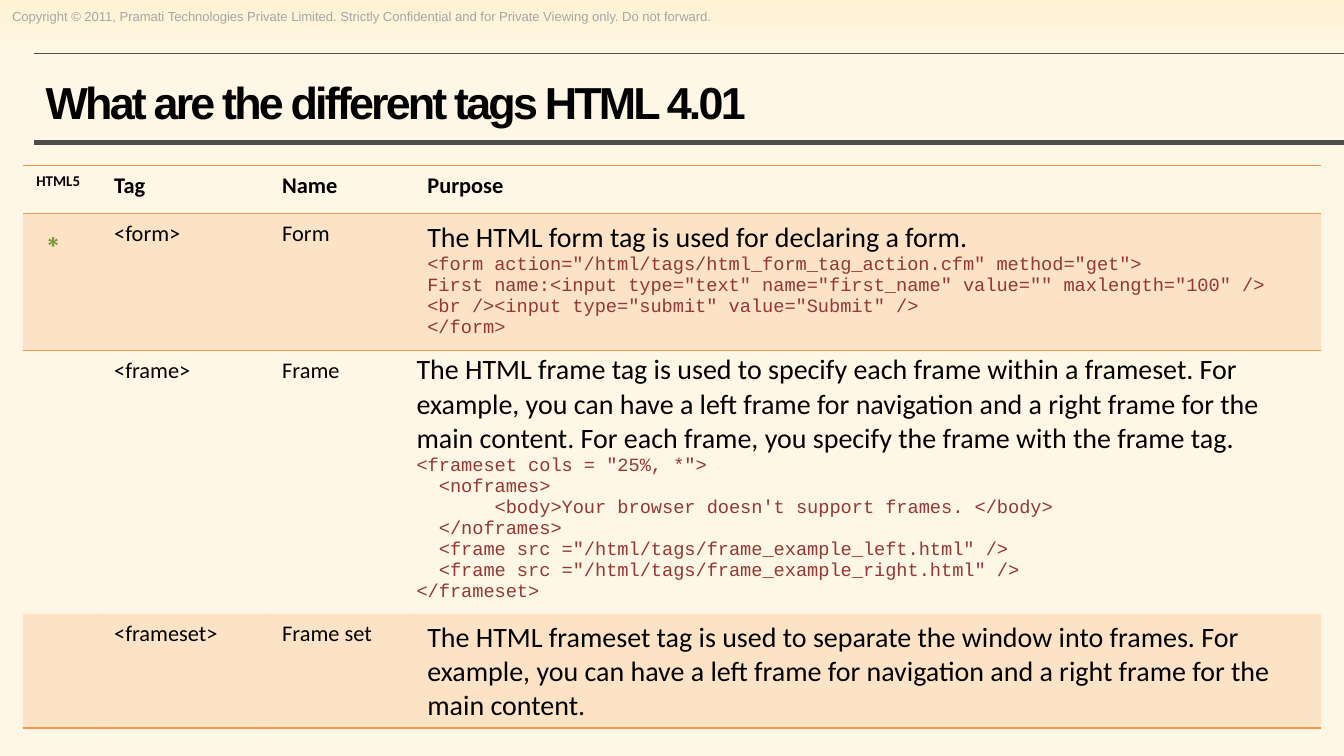
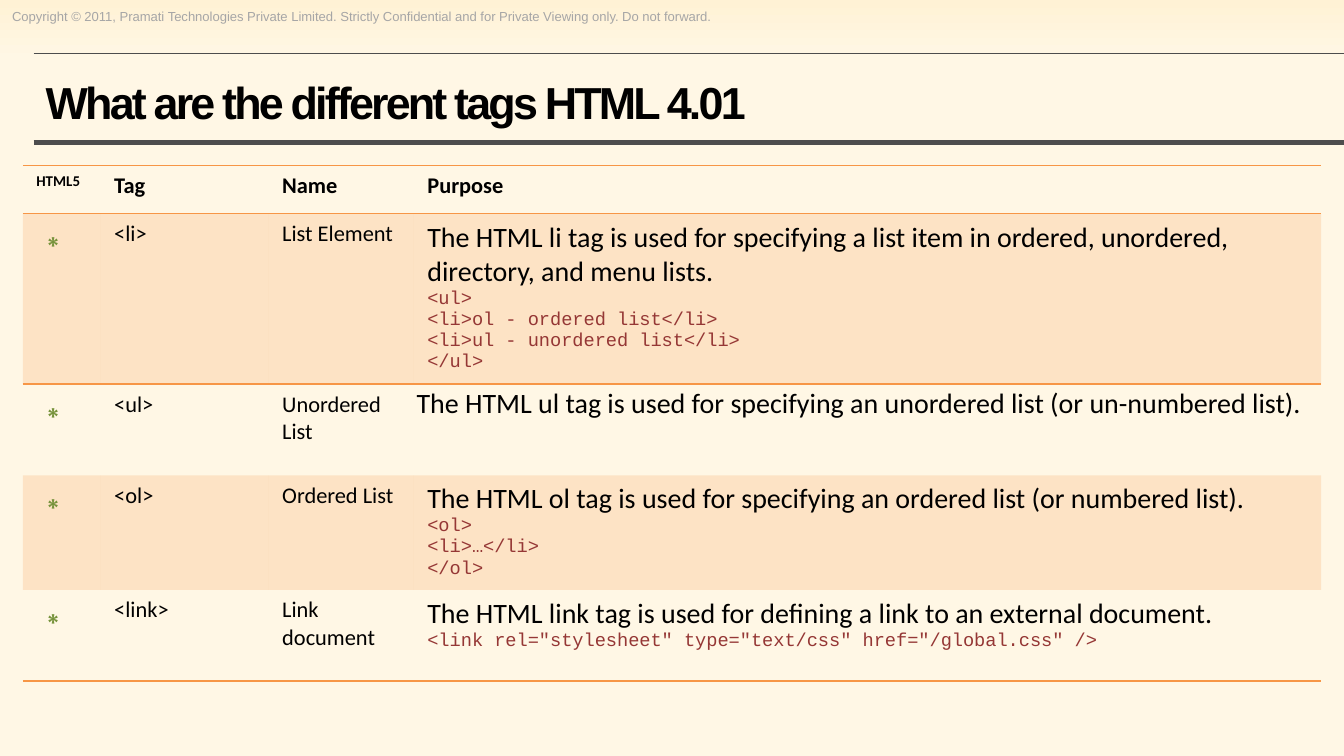
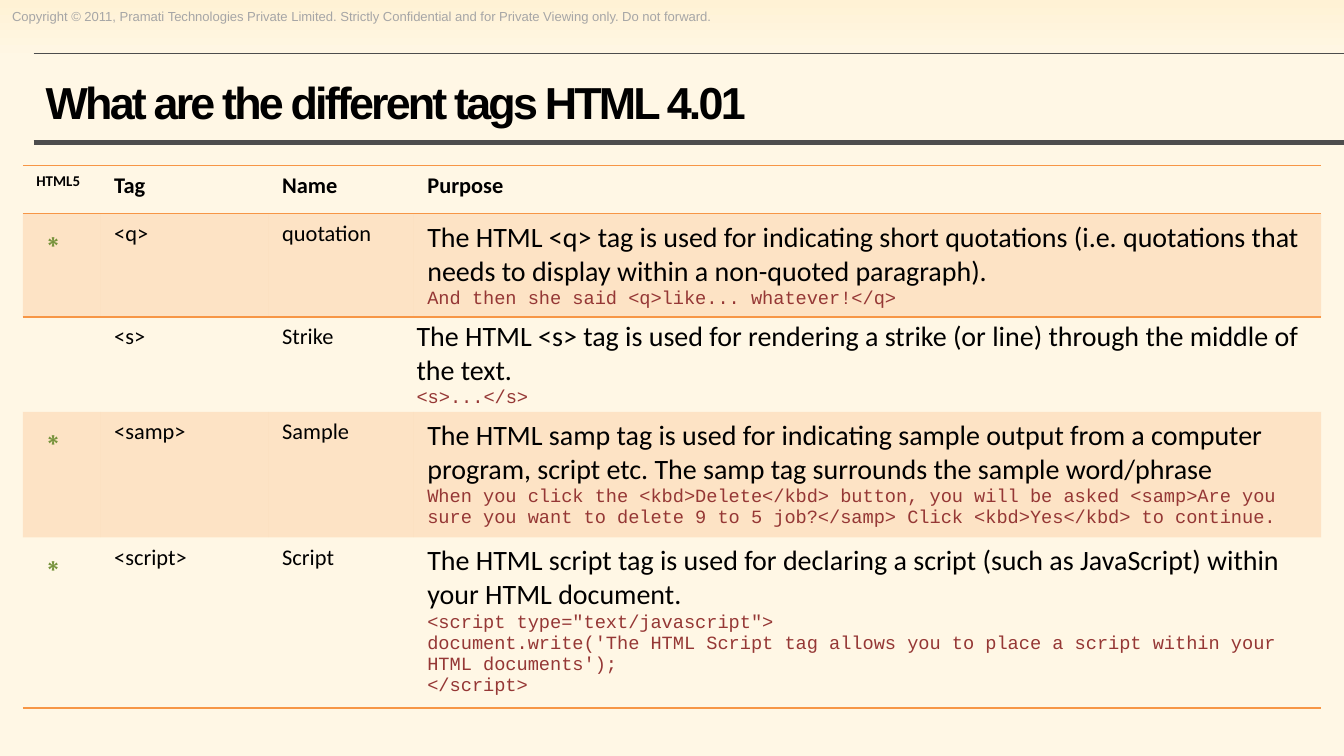
from lxml.etree import SubElement
from pptx import Presentation
from pptx.dml.color import RGBColor
from pptx.enum.shapes import MSO_CONNECTOR
from pptx.enum.text import MSO_ANCHOR, MSO_AUTO_SIZE, PP_ALIGN
from pptx.oxml import parse_xml
from pptx.oxml.ns import nsdecls, qn
from pptx.util import Inches, Pt

COLORS = {
    "black": "000000",
    "copyright": "A6A6A6",
    "rule": "4D4D4D",
    "accent": "F79646",
    "mark": "77933C",
    "code": "953735",
    "background_top": "FFF2D5",
    "background": "FFF7E5",
}
COPYRIGHT = (
    "Copyright © 2011, Pramati Technologies Private Limited. "
    "Strictly Confidential and for Private Viewing only. Do not forward."
)
TITLE = "What are the different tags HTML 4.01"
HEADINGS = ["HTML5", "Tag", "Name", "Purpose"]
COLUMN_WIDTHS = [0.58, 1.25, 1.08, 6.75]
HEADER_HEIGHT = 0.36
MARK = "∗"
NO_TABLE_STYLE = "{2D5ABB26-0587-4C30-8999-92F81FD0307C}"

# Table height, then its rows: least height, in HTML5, tag, name, purpose, code lines
SLIDES = [
    (4.19, [
        (0.54, True, "<form>", "Form",
         "The HTML form tag is used for declaring a form.",
         ['<form action="/html/tags/html_form_tag_action.cfm" method="get">',
          'First name:<input type="text" name="first_name" value="" maxlength="100" />',
          '<br /><input type="submit" value="Submit" />',
          "</form>"]),
        (0.54, False, "<frame>", "Frame",
         "The HTML frame tag is used to specify each frame within a frameset. "
         "For example, you can have a left frame for navigation and a right frame "
         "for the main content. For each frame, you specify the frame with the frame tag.",
         ['<frameset cols = "25%, *">',
          "  <noframes>",
          "       <body>Your browser doesn't support frames. </body>",
          "  </noframes>",
          '  <frame src ="/html/tags/frame_example_left.html" />',
          '  <frame src ="/html/tags/frame_example_right.html" />',
          "</frameset>"]),
        (0.36, False, "<frameset>", "Frame set",
         "The HTML frameset tag is used to separate the window into frames. "
         "For example, you can have a left frame for navigation and a right frame "
         "for the main content.",
         []),
    ]),
    (3.88, [
        (0.54, True, "<li>", "List Element",
         "The HTML li tag is used for specifying a list item in ordered, unordered, "
         "directory, and menu lists.",
         ["<ul>", "<li>ol - ordered list</li>", "<li>ul - unordered list</li>", "</ul>"]),
        (0.68, True, "<ul>", "Unordered List",
         "The HTML ul tag is used for specifying an unordered list (or un-numbered list).",
         []),
        (0.36, True, "<ol>", "Ordered List",
         "The HTML ol tag is used for specifying an ordered list (or numbered list).",
         ["<ol>", "<li>…</li>", "</ol>"]),
        (0.68, True, "<link>", "Link document",
         "The HTML link tag is used for defining a link to an external document.",
         ['<link rel="stylesheet" type="text/css" href="/global.css" />']),
    ]),
    (4.04, [
        (0.54, True, "<q>", "quotation",
         "The HTML <q> tag is used for indicating short quotations (i.e. quotations "
         "that needs to display within a non-quoted paragraph).",
         ["And then she said <q>like... whatever!</q>"]),
        (0.54, False, "<s>", "Strike",
         "The HTML <s> tag is used for rendering a strike (or line) through the middle "
         "of the text.",
         ["<s>...</s>"]),
        (0.36, True, "<samp>", "Sample",
         "The HTML samp tag is used for indicating sample output from a computer program, "
         "script etc. The samp tag surrounds the sample word/phrase",
         ["When you click the <kbd>Delete</kbd> button, you will be asked <samp>Are you "
          "sure you want to delete 9 to 5 job?</samp> Click <kbd>Yes</kbd> to continue."]),
        (0.36, True, "<script>", "Script",
         "The HTML script tag is used for declaring a script (such as JavaScript) within "
         "your HTML document.",
         ['<script type="text/javascript">',
          "document.write('The HTML Script tag allows you to place a script within your "
          "HTML documents');",
          "</script>"]),
    ]),
]


def rgb(name):
    return RGBColor.from_string(COLORS[name])


def write(para, text, size=12, font="Calibri", color="black", bold=False):
    span = para.add_run()
    span.text = text
    span.font.size = Pt(size)
    span.font.name = font
    span.font.bold = bold
    span.font.color.rgb = rgb(color)
    return span


def set_margins(item, across, down):
    item.margin_left = item.margin_right = Inches(across)
    item.margin_top = item.margin_bottom = Inches(down)


def set_background(layout):
    fill = layout.background.fill
    fill.gradient()
    fill.gradient_angle = 270
    stops = zip(fill.gradient_stops, [0, 0.08], ["background_top", "background"])
    for stop, position, color in stops:
        stop.position = position
        stop.color.rgb = rgb(color)


def add_rule(page, top, weight):
    rule = page.shapes.add_connector(
        MSO_CONNECTOR.STRAIGHT, Inches(0.25), Inches(top), Inches(10), Inches(top))
    rule.line.color.rgb = rgb("rule")
    rule.line.width = Pt(weight)
    SubElement(rule.element.spPr, qn("a:effectLst"))


def add_frame(page):
    """Add the copyright line and the two rules around the title."""
    box = page.shapes.add_textbox(Inches(0), Inches(0.02), Inches(5.55), Inches(0.21))
    set_margins(box.text_frame, 0.09, 0.04)
    box.text_frame.word_wrap = False
    write(box.text_frame.paragraphs[0], COPYRIGHT, size=7, font="Arial", color="copyright")
    add_rule(page, 1.06, 3)
    add_rule(page, 0.4, 0.75)


def add_title(page):
    title = page.shapes.title
    title.left, title.top = Inches(0.25), Inches(0.44)
    title.width, title.height = Inches(9.33), Inches(0.63)
    frame = title.text_frame
    set_margins(frame, 0.09, 0.04)
    frame.auto_size = MSO_AUTO_SIZE.NONE
    frame.vertical_anchor = MSO_ANCHOR.MIDDLE
    para = frame.paragraphs[0]
    para.alignment = PP_ALIGN.LEFT
    span = write(para, TITLE, size=24, font="Arial", bold=True)
    properties = span.font.fill._xPr
    properties.set("spc", "-150")
    properties.find(qn("a:solidFill")).addnext(parse_xml(
        f'<a:effectLst {nsdecls("a")}><a:outerShdw blurRad="38100" dist="38100" dir="2700000">'
        '<a:srgbClr val="FFFFFF"/></a:outerShdw></a:effectLst>'))


def add_borders(cell, *sides):
    properties = cell._tc.get_or_add_tcPr()
    for side in sides:
        properties.append(parse_xml(
            f'<a:ln{side} {nsdecls("a")} w="{Pt(1)}"><a:solidFill>'
            f'<a:srgbClr val="{COLORS["accent"]}"/></a:solidFill></a:ln{side}>'))


def fill_cell(cell, banded):
    if not banded:
        cell.fill.background()
        return
    cell.fill.solid()
    cell.fill.fore_color.rgb = rgb("accent")
    color = cell._tc.tcPr.find(f"{qn('a:solidFill')}/{qn('a:srgbClr')}")
    SubElement(color, qn("a:alpha"), val="20000")


def add_tag_table(page, table_height, entries):
    heights = [HEADER_HEIGHT] + [entry[0] for entry in entries]
    holder = page.shapes.add_table(
        len(heights), len(HEADINGS), Inches(0.17), Inches(1.23),
        Inches(sum(COLUMN_WIDTHS)), Inches(table_height))
    table = holder.table
    table.horz_banding = False
    holder.element.find(f".//{qn('a:tableStyleId')}").text = NO_TABLE_STYLE
    for column, width in zip(table.columns, COLUMN_WIDTHS):
        column.width = Inches(width)
    for index, (row, height) in enumerate(zip(table.rows, heights)):
        row.height = Inches(height)
        for cell in row.cells:
            if index == 0:
                add_borders(cell, "T", "B")
            elif index == 1:
                add_borders(cell, "T")
            elif index == len(entries):
                add_borders(cell, "B")
            fill_cell(cell, banded=index % 2 == 1)
    holder.height = Inches(table_height)

    for column, heading in enumerate(HEADINGS):
        para = table.cell(0, column).text_frame.paragraphs[0]
        write(para, heading, size=12 if column else 8, bold=True)

    for index, (_, in_html5, tag, name, purpose, code) in enumerate(entries, start=1):
        cells = table.rows[index].cells
        mark, tag_para, name_para, purpose_para = (
            cell.text_frame.paragraphs[0] for cell in cells)
        if in_html5:
            write(mark, MARK, size=18, font="Arial", color="mark", bold=True)
        write(tag_para, tag)
        write(name_para, name)
        write(purpose_para, purpose, size=15)
        for line in code:
            write(cells[3].text_frame.add_paragraph(), line,
                  size=10, font="Courier New", color="code")
        if index == 2:
            set_margins(cells[3], 0.02, 0.02)


def main():
    deck = Presentation()
    deck.slide_width = Inches(10)
    deck.slide_height = deck.slide_width * 9 // 16
    layout = deck.slide_layouts[5]
    set_background(layout)
    for table_height, entries in SLIDES:
        page = deck.slides.add_slide(layout)
        add_frame(page)
        add_title(page)
        add_tag_table(page, table_height, entries)
    deck.save("out.pptx")


if __name__ == "__main__":
    main()
